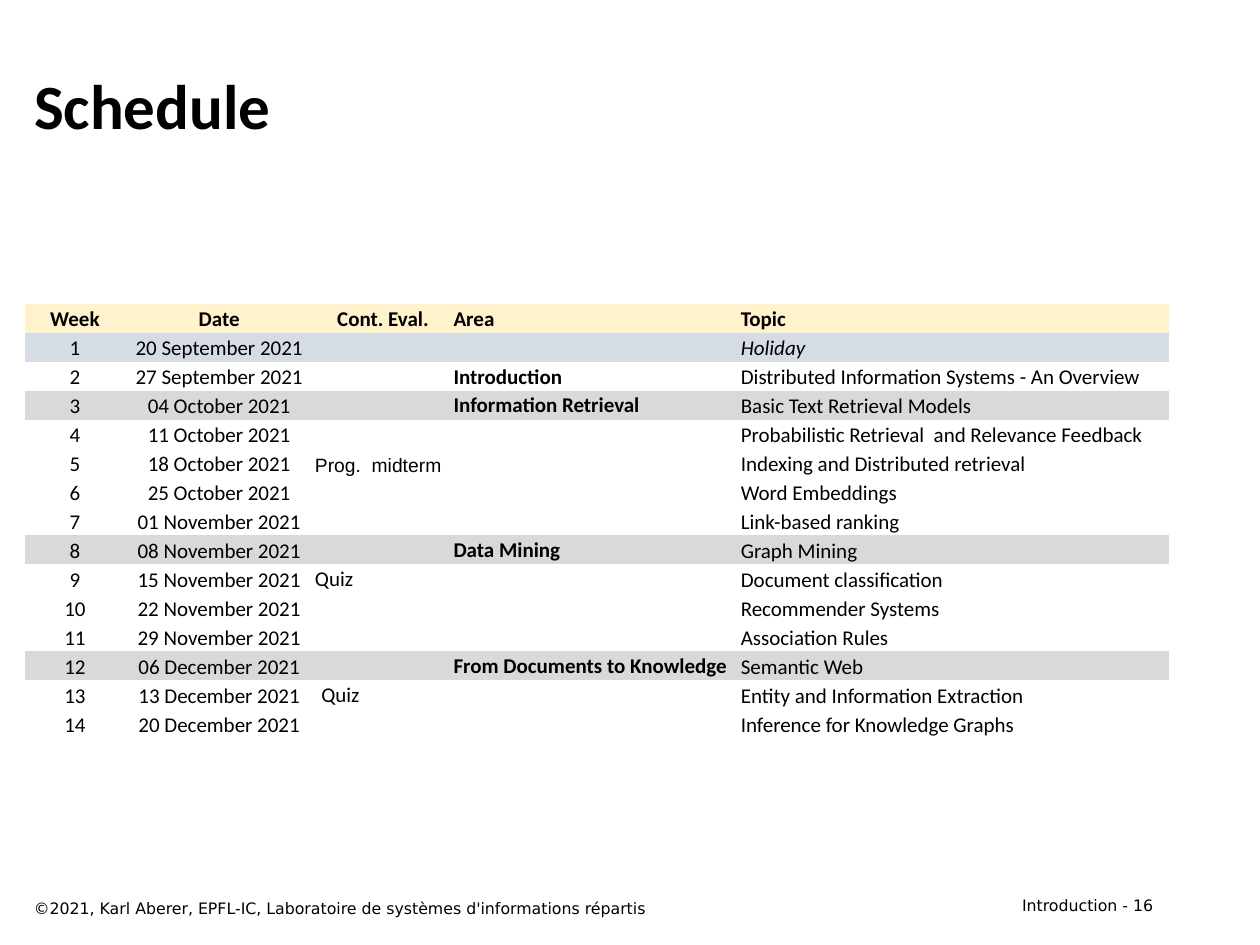
from dataclasses import dataclass

from lxml.etree import SubElement
from pptx import Presentation
from pptx.dml.color import RGBColor as RGB
from pptx.enum.text import MSO_ANCHOR as Anchor, PP_ALIGN as Align
from pptx.oxml.ns import qn
from pptx.util import Inches, Pt

COLORS = {
    "text": "000000",
    "header": "FFF2CC",
    "holiday": "D6DCE4",
    "area": "D9D9D9",
    "white": "FFFFFF",
}
NO_STYLE = "{2D5ABB26-0587-4C30-8999-92F81FD0307C}"
HEADINGS = ["Week", "Date", "Cont. Eval.", "Area", "Topic"]
COL_WIDTHS = [0.79, 1.5, 1.1, 2.28, 3.41]
ALIGNS = [Align.CENTER, Align.CENTER, Align.LEFT, Align.LEFT, Align.LEFT]
EVAL_COL, AREA_COL, TOPIC_COL = 2, 3, 4
ROW_HEIGHT = 0.23
CELL_FONT = {"name": "Calibri", "size": Pt(12), "bold": False}
FOOTER_FONT = {"name": "DejaVu Sans", "size": Pt(9)}


@dataclass
class Week:
    date: str
    topic: str
    area: str = ""
    evaluation: str = ""
    fill: str = ""


@dataclass
class Footer:
    text: str
    left: float
    top: float
    width: float
    align: Align


WEEKS = [
    Week("20 September 2021", "Holiday", fill="holiday"),
    Week("27 September 2021", "Distributed Information Systems - An Overview", "Introduction"),
    Week("04 October 2021", "Basic Text Retrieval Models", "Information Retrieval", fill="area"),
    Week("11 October 2021", "Probabilistic Retrieval  and Relevance Feedback"),
    Week("18 October 2021", "Indexing and Distributed retrieval", evaluation="Prog.  midterm"),
    Week("25 October 2021", "Word Embeddings"),
    Week("01 November 2021", "Link-based ranking", fill="white"),
    Week("08 November 2021", "Graph Mining", "Data Mining", fill="area"),
    Week("15 November 2021", "Document classification", evaluation="Quiz"),
    Week("22 November 2021", "Recommender Systems"),
    Week("29 November 2021", "Association Rules"),
    Week("06 December 2021", "Semantic Web", "From Documents to Knowledge", fill="area"),
    Week("13 December 2021", "Entity and Information Extraction", evaluation="Quiz"),
    Week("20 December 2021", "Inference for Knowledge Graphs"),
]
FOOTERS = [
    Footer("Introduction - 16", 7.17, 7.06, 2.08, Align.RIGHT),
    Footer("©2021, Karl Aberer, EPFL-IC, Laboratoire de systèmes d'informations répartis",
           0.17, 7.08, 6.42, Align.LEFT),
]


def write(tf, text: str, align: Align, font: dict) -> None:
    p = tf.paragraphs[0]
    p.alignment = align
    r = p.add_run()
    r.text = text
    for name, value in font.items():
        setattr(r.font, name, value)
    r.font.color.rgb = RGB.from_string(COLORS["text"])


def fill_cell(cell, text: str, align: Align, fill: str, font: dict,
              bottom: float = 0, left: float = 0.01) -> None:
    layout = {
        "vertical_anchor": Anchor.BOTTOM,
        "margin_left": Inches(left),
        "margin_right": Inches(0.01),
        "margin_top": Inches(0.01),
        "margin_bottom": Inches(bottom),
    }
    for name, value in layout.items():
        setattr(cell, name, value)
    if fill:
        cell.fill.solid()
        cell.fill.fore_color.rgb = RGB.from_string(COLORS[fill])
    else:
        cell.fill.background()
    if text:
        write(cell.text_frame, text, align, font)
    else:
        SubElement(cell.text_frame.paragraphs[0]._p, qn("a:endParaRPr"), sz="1200")


def add_schedule(slide) -> None:
    n_rows = len(WEEKS) + 1
    frame = slide.shapes.add_table(n_rows, len(HEADINGS), Inches(0.2), Inches(2.41),
                                   Inches(sum(COL_WIDTHS)), Inches(ROW_HEIGHT * n_rows))
    table = frame.table
    table.first_row = table.horz_banding = False
    frame._element.find(".//" + qn("a:tableStyleId")).text = NO_STYLE
    for col, width in zip(table.columns, COL_WIDTHS):
        col.width = Inches(width)
    for row in table.rows:
        row.height = Inches(ROW_HEIGHT)

    for c, heading in enumerate(HEADINGS):
        align = Align.CENTER if c == EVAL_COL else ALIGNS[c]
        fill_cell(table.cell(0, c), heading, align, "header", CELL_FONT | {"bold": True})

    for n, week in enumerate(WEEKS, 1):
        texts = [str(n), week.date, week.evaluation, week.area, week.topic]
        for c, text in enumerate(texts):
            font = dict(CELL_FONT)
            if c == AREA_COL:
                font["bold"] = True
            if c == TOPIC_COL and week.fill == "holiday":
                font["italic"] = True
            if text.startswith("Prog."):
                font.update(name="Arial", size=Pt(11))
            raised = c == EVAL_COL or (c == AREA_COL and week.fill == "area")
            indented = c == EVAL_COL and n == 13
            fill_cell(table.cell(n, c), text, ALIGNS[c], week.fill, font,
                      0.01 if raised else 0, 0.06 if indented else 0.01)
    last = n_rows - 1
    table.cell(last, EVAL_COL).merge(table.cell(last, AREA_COL))


def add_footer(slide, footer: Footer) -> None:
    box = slide.shapes.add_textbox(Inches(footer.left), Inches(footer.top),
                                   Inches(footer.width), Inches(0.25))
    tf = box.text_frame
    tf.word_wrap = True
    write(tf, footer.text, footer.align, FOOTER_FONT)


def add_title(slide, text: str) -> None:
    sp = slide.shapes.title
    place = {"left": 0.17, "top": 0.33, "width": 9.08, "height": 1}
    for name, value in place.items():
        setattr(sp, name, Inches(value))
    sp.text_frame.vertical_anchor = Anchor.MIDDLE
    write(sp.text_frame, text, Align.LEFT, {"name": "Calibri", "size": Pt(36), "bold": True})


def main() -> None:
    prs = Presentation()
    prs.slide_width, prs.slide_height = Inches(10), Inches(7.5)
    slide = prs.slides.add_slide(prs.slide_layouts[5])
    add_title(slide, "Schedule")
    add_schedule(slide)
    for footer in FOOTERS:
        add_footer(slide, footer)
    prs.save("out.pptx")


if __name__ == "__main__":
    main()
